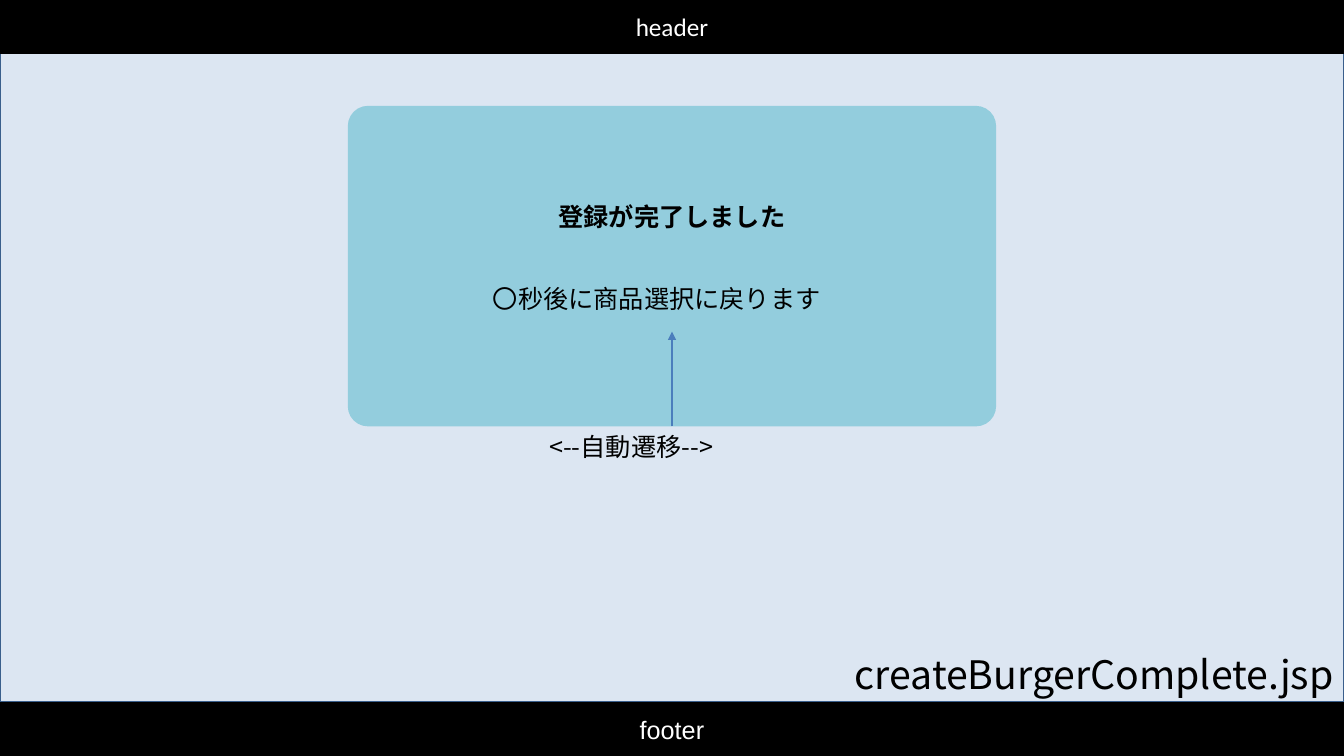
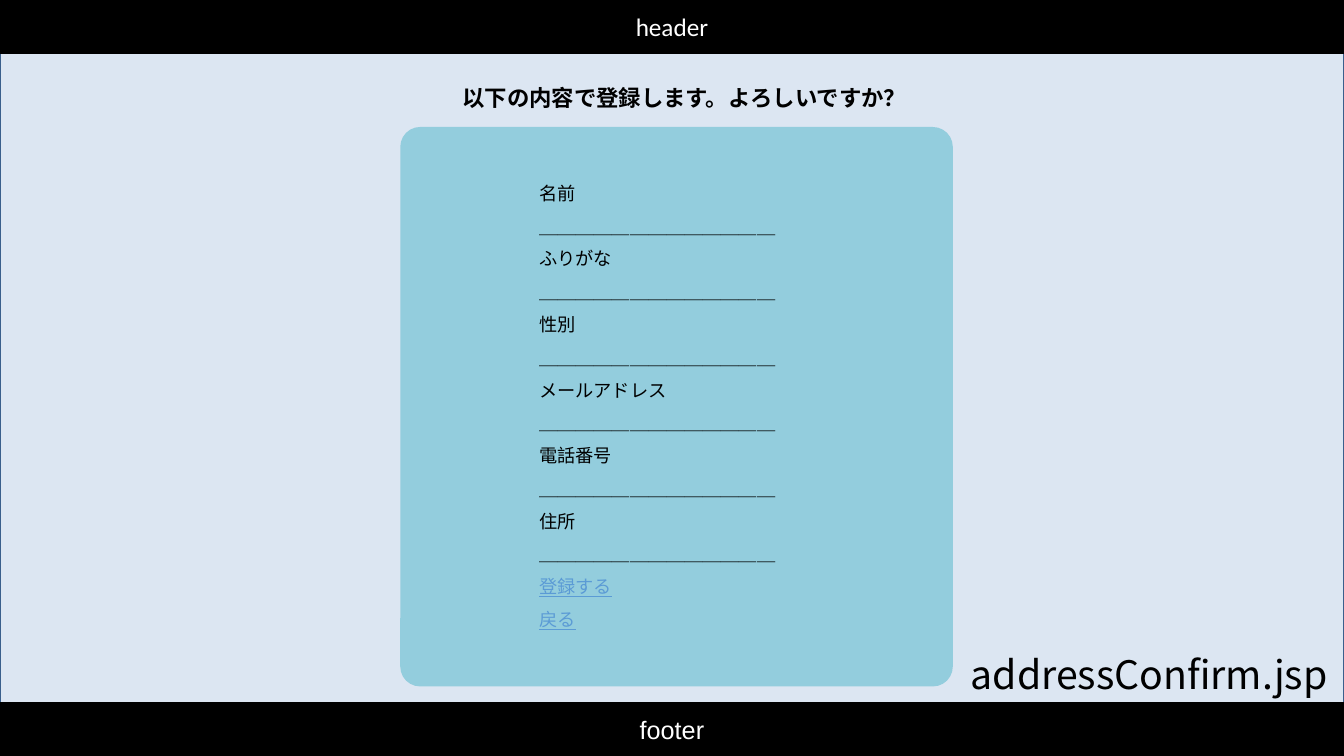
from lxml import etree
from pptx import Presentation
from pptx.dml.color import RGBColor
from pptx.enum.shapes import MSO_CONNECTOR as CONN, MSO_SHAPE as SHAPE
from pptx.enum.text import MSO_ANCHOR as ANCHOR, PP_ALIGN as ALIGN
from pptx.oxml.ns import qn
from pptx.util import Inches, Pt

BLACK, WHITE = "000000", "FFFFFF"
BODY, BODY_LINE = "DCE6F2", "3A5F8C"
CARD, ARROW, LINK = "93CDDD", "4B7EBC", "5B9BD5"
JP = "Noto Sans CJK JP"
W, H, BAND_H = 13.33, 7.5, 0.52

rgb = RGBColor.from_string


def add_box(s, kind, x, y, w, h, fill=None, line=None, adj=None):
    """Add a preset shape, or a text box when kind is None."""
    at = Inches(x), Inches(y), Inches(w), Inches(h)
    if kind is None:
        sp = s.shapes.add_textbox(*at)
    else:
        sp = s.shapes.add_shape(kind, *at)
        sp.shadow.inherit = False
        sp.fill.solid()
        sp.fill.fore_color.rgb = rgb(fill)
        if line:
            sp.line.color.rgb = rgb(line)
            sp.line.width = Pt(2)
        else:
            sp.line.fill.background()
        if adj:
            sp.adjustments[0] = adj
    sp.text_frame.word_wrap = True
    return sp


def add_text(p, text, size, font=JP, color=BLACK, bold=False, underline=None, align=ALIGN.LEFT):
    """Add one run to a paragraph."""
    p.alignment = align
    r = p.add_run()
    r.text = text
    r.font.size = Pt(size)
    r.font.bold = bold
    r.font.underline = underline
    r.font.color.rgb = rgb(color)
    r.font.name = font
    etree.SubElement(r.font._element, qn("a:ea")).set("typeface", font)


prs = Presentation()
prs.slide_width, prs.slide_height = Inches(W), Inches(H)

# Shared frame: body, header, footer, page name
slides = []
for page_name, name_w, body_y, body_h in [
    ("createBurgerComplete.jsp", 4.95, 0.52, 6.45),
    ("addressConfirm.jsp", 3.8, 0.37, 7.13),
]:
    s = prs.slides.add_slide(prs.slide_layouts[6])
    add_box(s, SHAPE.RECTANGLE, 0, body_y, W, body_h, BODY, BODY_LINE)
    for label, font, y in [("header", "Calibri", 0), ("footer", "Arial", H - BAND_H)]:
        tf = add_box(s, SHAPE.RECTANGLE, 0, y, W, BAND_H, BLACK, BLACK).text_frame
        tf.vertical_anchor = ANCHOR.MIDDLE
        add_text(tf.paragraphs[0], label, 18, font, WHITE, align=ALIGN.CENTER)
    tf = add_box(s, None, W - name_w, 6.4, name_w, 0.57).text_frame
    add_text(tf.paragraphs[0], page_name, 28)
    slides.append(s)
complete, confirm = slides

# Slide 1: completion message
card = add_box(complete, SHAPE.ROUNDED_RECTANGLE, 3.45, 1.05, 6.43, 3.18, CARD, adj=0.063)
for text, x, y, w, h, bold, align in [
    ("登録が完了しました", 3.3, 1.95, 6.73, 0.7, True, ALIGN.CENTER),
    ("〇秒後に商品選択に戻ります", 4.79, 2.76, 3.74, 0.4, False, ALIGN.LEFT),
    ("<--自動遷移-->", 5.35, 4.23, 5.06, 0.4, False, ALIGN.LEFT),
]:
    tf = add_box(complete, None, x, y, w, h).text_frame
    add_text(tf.paragraphs[0], text, 18, bold=bold, align=align)

# Arrow from the card's lower edge to the message
arrow = complete.shapes.add_connector(
    CONN.STRAIGHT, Inches(6.67), Inches(4.23), Inches(6.67), Inches(3.29))
arrow.begin_connect(card, 2)
arrow.end_x = arrow.begin_x
arrow.line.color.rgb = rgb(ARROW)
arrow.line.width = Pt(0.75)
etree.SubElement(arrow.line._get_or_add_ln(), qn("a:tailEnd")).set("type", "triangle")
etree.SubElement(arrow._element.spPr, qn("a:effectLst"))

# Slide 2: question and address form
tf = add_box(confirm, None, 4.49, 0.79, 4.95, 0.36).text_frame
add_text(tf.paragraphs[0], "以下の内容で登録します。よろしいですか？", 16, bold=True)
add_box(confirm, SHAPE.ROUNDED_RECTANGLE, 3.97, 1.26, 5.48, 5.55, CARD, adj=0.036)
tf = add_box(confirm, SHAPE.RECTANGLE, 5.25, 1.65, 3.1, 4.64, CARD).text_frame
tf.vertical_anchor = ANCHOR.TOP

rows = []
for field in ["名前", "ふりがな", "性別", "メールアドレス", "電話番号", "住所"]:
    rows += [(field, BLACK, None), ("＿" * 13, BLACK, None)]
rows += [(link, LINK, True) for link in ["登録する", "戻る"]]
for i, (text, color, underline) in enumerate(rows):
    p = tf.add_paragraph() if i else tf.paragraphs[0]
    p.line_spacing = 1.5
    add_text(p, text, 13, color=color, underline=underline)

prs.save("out.pptx")
